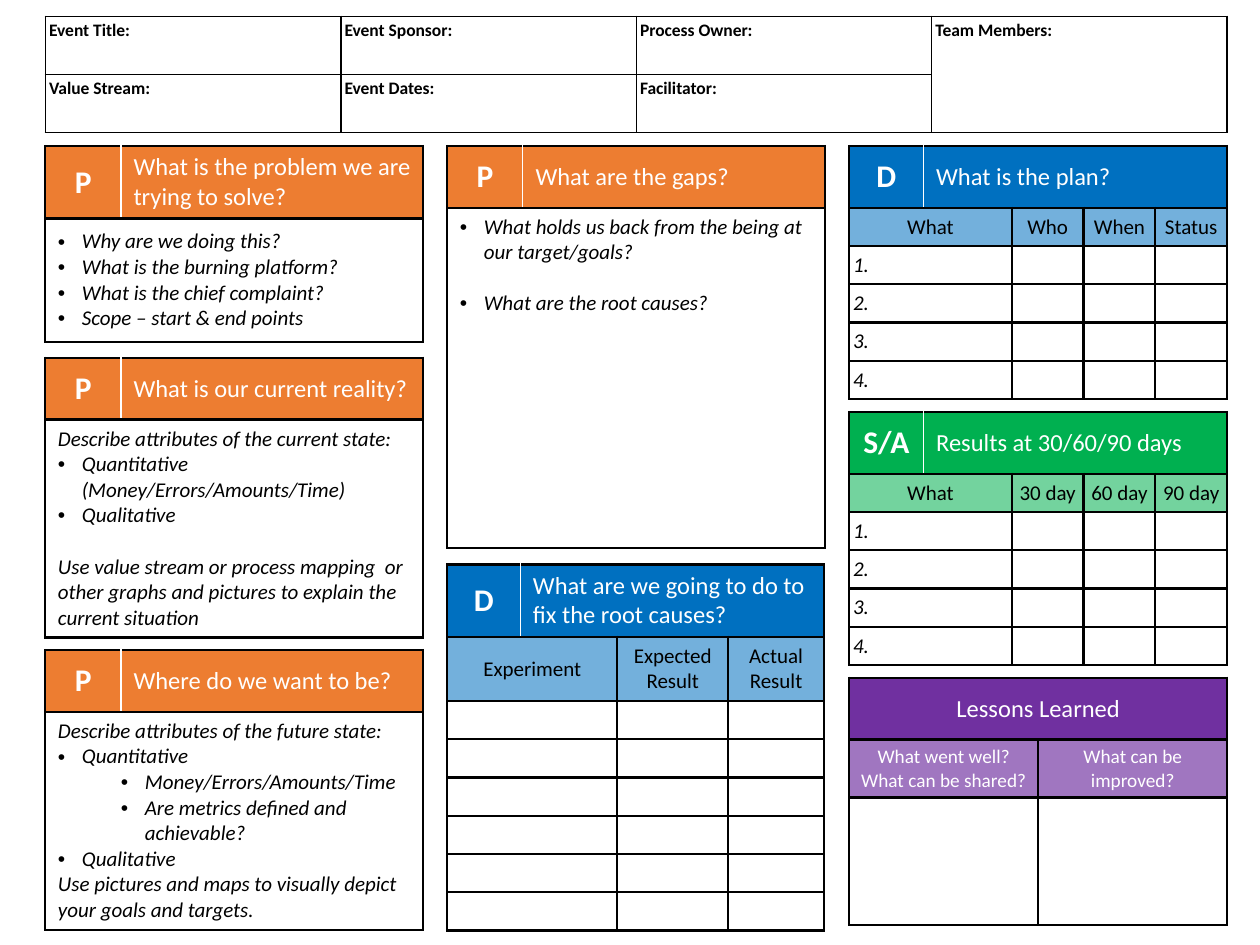
from dataclasses import dataclass

import pptx
import pptx.dml.color
import pptx.enum.text
import pptx.oxml.ns
import pptx.util
from lxml import etree

Inches = pptx.util.Inches
Align = pptx.enum.text.PP_ALIGN
Anchor = pptx.enum.text.MSO_ANCHOR


@dataclass(frozen=True)
class Theme:
    font: str = "Calibri"
    black: str = "000000"
    white: str = "FFFFFF"
    plan: str = "ED7D31"
    do: str = "0070C0"
    study: str = "00B050"
    lessons: str = "7030A0"
    letter: int = 18
    heading: int = 14
    body: int = 12
    small: int = 11
    label: int = 10
    line: float = 1.5
    thin: float = 1
    divider: float = 0.75


@dataclass(frozen=True)
class Grid:
    left: float = 0.36
    top: float = 1.16
    column: float = 3.0
    step: float = 3.19
    head: float = 0.49
    tall_head: float = 0.57
    row: float = 0.303

    def x(self, column: int) -> float:
        return self.left + column * self.step


@dataclass(frozen=True)
class Line:
    text: str
    level: int = 0  # 0 is plain, 1 and 2 are bullet levels
    gap: float = 0  # points before the paragraph


@dataclass(frozen=True)
class Cell:
    lines: tuple[Line, ...] = ()
    size: int = 12
    color: str = "000000"
    bold: bool = False
    italic: bool = False
    fill: str | None = "FFFFFF"
    alpha: int = 100
    across: int = 1
    down: int = 1
    align: Align = Align.LEFT
    anchor: Anchor = Anchor.MIDDLE
    inset: tuple[float, float] = (0.1, 0.05)
    white_edge: str = ""


THEME = Theme()
GRID = Grid()
TIGHT = (0.03, 0.03)
BLANK_LINE = THEME.body * 1.22
BULLET_INDENT = {1: 0.19, 2: 0.69}


def add_xml(parent, tag: str, **attributes):
    return etree.SubElement(parent, pptx.oxml.ns.qn(tag), attributes)


def draw_edges(target, weight: float, white_edge: str) -> None:
    properties = target._tc.get_or_add_tcPr()
    for index, side in enumerate("LRTB"):
        white = side == white_edge
        width = THEME.divider if white else weight
        edge = add_xml(properties, f"a:ln{side}", w=str(pptx.util.Pt(width)))
        solid = add_xml(edge, "a:solidFill")
        add_xml(solid, "a:srgbClr", val=THEME.white if white else THEME.black)
        properties.insert(index, edge)


def paint(target, cell: Cell, weight: float, white_edge: str) -> None:
    if cell.fill is None:
        target.fill.background()
    else:
        target.fill.solid()
        target.fill.fore_color.rgb = pptx.dml.color.RGBColor.from_string(cell.fill)
    if cell.alpha < 100:
        color = target._tc.tcPr.find(".//" + pptx.oxml.ns.qn("a:srgbClr"))
        add_xml(color, "a:alpha", val=str(cell.alpha * 1000))
    draw_edges(target, weight, white_edge)


def write(target, cell: Cell) -> None:
    target.vertical_anchor = cell.anchor
    target.margin_left = target.margin_right = Inches(cell.inset[0])
    target.margin_top = target.margin_bottom = Inches(cell.inset[1])
    frame = target.text_frame
    if not cell.lines:
        # An empty cell needs its type size to keep the row low
        add_xml(frame.paragraphs[0]._p, "a:endParaRPr", sz=str(cell.size * 100))
    for index, line in enumerate(cell.lines):
        para = frame.add_paragraph() if index else frame.paragraphs[0]
        para.alignment = cell.align
        if line.gap:
            para.space_before = pptx.util.Pt(line.gap)
        if line.level:
            para.level = line.level - 1
            properties = para._p.get_or_add_pPr()
            properties.set("marL", str(Inches(BULLET_INDENT[line.level])))
            properties.set("indent", str(-Inches(BULLET_INDENT[1])))
            add_xml(properties, "a:buFont", typeface="Arial")
            add_xml(properties, "a:buChar", char="•")
        span = para.add_run()
        span.text = line.text
        span.font.name = THEME.font
        span.font.size = pptx.util.Pt(cell.size)
        span.font.bold = cell.bold
        span.font.italic = cell.italic
        span.font.color.rgb = pptx.dml.color.RGBColor.from_string(cell.color)


def draw_table(page, left: float, top: float, widths: list[float], heights: list[float],
               rows: list[list[Cell]], weight: float = THEME.line) -> None:
    frame = page.shapes.add_table(len(heights), len(widths), Inches(left), Inches(top),
                                  Inches(sum(widths)), Inches(sum(heights)))
    table = frame.table
    table.first_row = table.horz_banding = False
    for column, width in zip(table.columns, widths):
        column.width = Inches(width)
    for row, height in zip(table.rows, heights):
        row.height = Inches(height)
    for y, cells in enumerate(rows):
        x = 0
        for cell in cells:
            for row in range(y, y + cell.down):
                for column in range(x, x + cell.across):
                    edge = cell.white_edge if column == x else ""
                    paint(table.cell(row, column), cell, weight, edge)
            origin = table.cell(y, x)
            if cell.across * cell.down > 1:
                origin.merge(table.cell(y + cell.down - 1, x + cell.across - 1))
            write(origin, cell)
            x += cell.across


def heading(letter: str, title: str, fill: str, across: int = 1) -> list[Cell]:
    return [Cell((Line(letter),), THEME.letter, THEME.white, bold=True, fill=fill,
                 align=Align.CENTER, white_edge="R"),
            Cell((Line(title),), THEME.heading, THEME.white, fill=fill, across=across,
                 white_edge="L")]


def tinted(text: str, fill: str, across: int = 1, inset=(0.1, 0.05)) -> Cell:
    return Cell((Line(text),), fill=fill, alpha=55, across=across, align=Align.CENTER, inset=inset)


def draw_question(page, column: int, top: float, title: str, heights: list[float],
                  lines: tuple[Line, ...], anchor: Anchor = Anchor.MIDDLE) -> None:
    body = Cell(lines, italic=True, across=2, anchor=anchor)
    draw_table(page, GRID.x(column), top, [0.6, 2.4], heights,
               [heading("P", title, THEME.plan), [body]])


def draw_tracker(page, top: float, letter: str, title: str, fill: str, labels: list[str]) -> None:
    names = [tinted("What", fill, 2)] + [tinted(label, fill, inset=(0.03, 0.05)) for label in labels]
    items = [[Cell((Line(f"{number}."),), italic=True, across=2, inset=TIGHT)] + [Cell()] * 3
             for number in range(1, 5)]
    draw_table(page, GRID.x(2), top, [0.59, 0.7] + [0.57] * 3, [GRID.head] + [GRID.row] * 5,
               [heading(letter, title, fill, 4), names] + items)


def label(text: str, down: int = 1) -> Cell:
    return Cell((Line(text),), THEME.label, bold=True, fill=None, down=down,
                anchor=Anchor.TOP, inset=TIGHT)


def main() -> None:
    deck = pptx.Presentation()
    deck.slide_width, deck.slide_height = Inches(10), Inches(7.5)
    page = deck.slides.add_slide(deck.slide_layouts[6])

    # Left column: problem, current state and target
    draw_question(page, 0, GRID.top, "What is the problem we are trying to solve?",
                  [GRID.tall_head, 0.98],
                  (Line("Why are we doing this?", 1), Line("What is the burning platform?", 1),
                   Line("What is the chief complaint?", 1), Line("Scope – start & end points", 1)))
    draw_question(page, 0, 2.84, "What is our current reality?", [GRID.head, 1.73],
                  (Line("Describe attributes of the current state:"),
                   Line("Quantitative (Money/Errors/Amounts/Time)", 1), Line("Qualitative", 1),
                   Line("Use value stream or process mapping  or other graphs and pictures "
                        "to explain the current situation", gap=BLANK_LINE)))
    draw_question(page, 0, 5.16, "Where do we want to be?", [GRID.head, 1.73],
                  (Line("Describe attributes of the future state:"), Line("Quantitative", 1),
                   Line("Money/Errors/Amounts/Time", 2),
                   Line("Are metrics defined and achievable?", 2), Line("Qualitative", 1),
                   Line("Use pictures and maps to visually depict your goals and targets.")))

    # Middle column: gaps and experiments
    draw_question(page, 1, GRID.top, "What are the gaps?", [GRID.head, 2.7],
                  (Line("What holds us back from the being at our target/goals?", 1),
                   Line("What are the root causes?", 1, BLANK_LINE)), Anchor.TOP)
    draw_table(page, GRID.x(1), 4.48, [0.58, 0.77, 0.88, 0.76],
               [GRID.tall_head, 0.51] + [GRID.row] * 6,
               [heading("D", "What are we going to do to fix the root causes?", THEME.do, 3),
                [tinted("Experiment", THEME.do, 2), tinted("Expected Result", THEME.do),
                 tinted("Actual Result", THEME.do)]]
               + [[Cell(across=2), Cell(), Cell()]] * 6)

    # Right column: plan, results and lessons
    draw_tracker(page, GRID.top, "D", "What is the plan?", THEME.do, ["Who", "When", "Status"])
    draw_tracker(page, 3.27, "S/A", "Results at 30/60/90 days", THEME.study,
                 ["30 day", "60 day", "90 day"])
    questions = [("What went well?", "What can be shared?"), ("What can be improved?",)]
    draw_table(page, GRID.x(2), 5.38, [GRID.column / 2] * 2, [GRID.head, 0.46, 1.01],
               [[Cell((Line("Lessons Learned"),), THEME.heading, THEME.white, fill=THEME.lessons,
                      across=2, align=Align.CENTER)],
                [Cell(tuple(map(Line, texts)), THEME.small, THEME.white, fill=THEME.lessons,
                      alpha=66, align=Align.CENTER, inset=TIGHT) for texts in questions],
                [Cell(), Cell()]])

    # Event details across the top
    details = [["Event Title:", "Event Sponsor:", "Process Owner:"],
               ["Value Stream:", "Event Dates:", "Facilitator:"]]
    rows = [[label(text) for text in texts] for texts in details]
    rows[0].append(label("Team Members:", down=2))
    width = 2 * GRID.step + GRID.column
    draw_table(page, GRID.left, 0.13, [width / 4] * 4, [0.46] * 2, rows, THEME.thin)

    deck.save("out.pptx")


if __name__ == "__main__":
    main()
